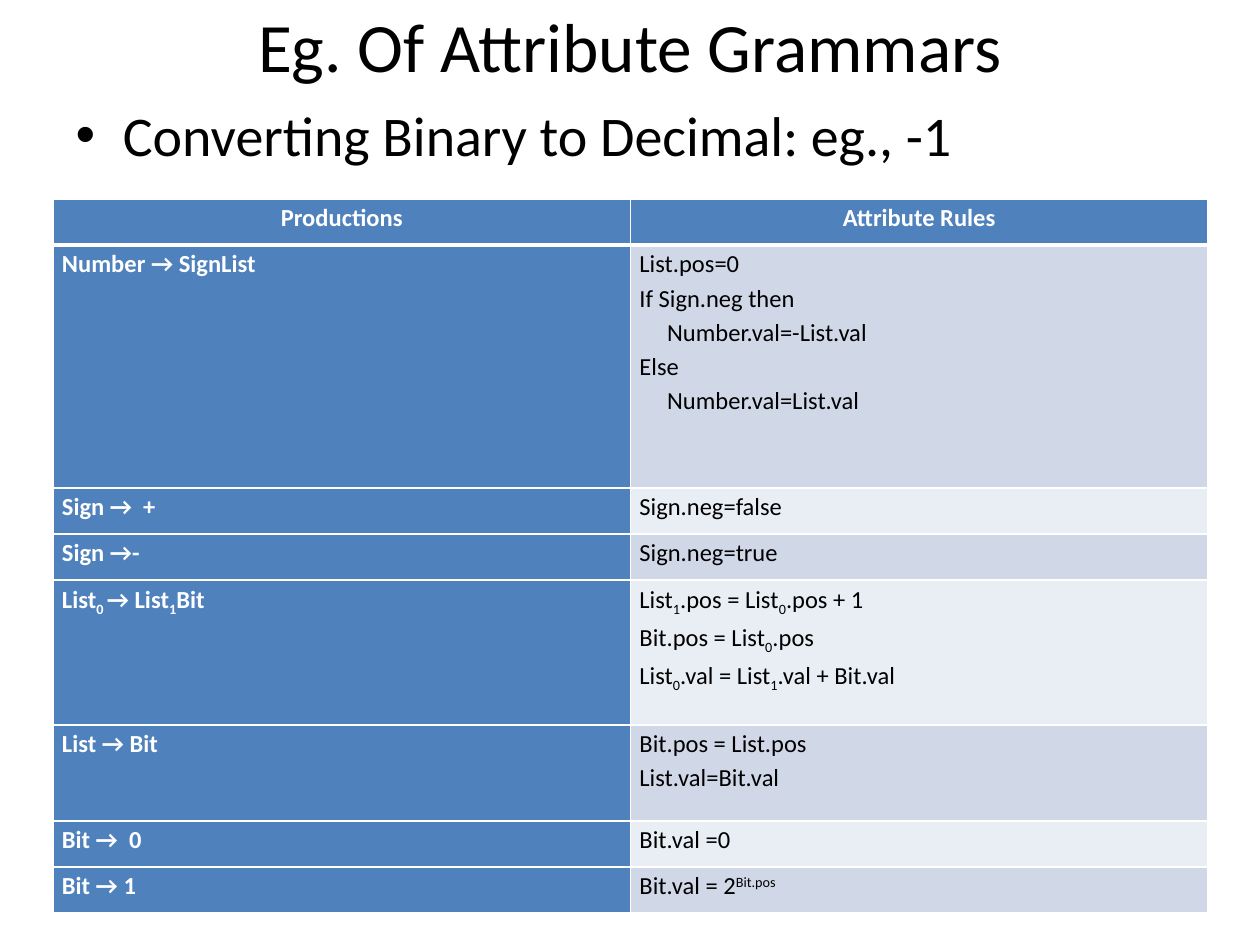
from lxml import etree
from pptx import Presentation
from pptx.dml.color import RGBColor
from pptx.enum.text import MSO_ANCHOR, PP_ALIGN
from pptx.oxml.ns import qn
from pptx.util import Pt

PX = 914400 // 126
CENTER, LEFT = PP_ALIGN.CENTER, PP_ALIGN.LEFT
MIDDLE, TOP = MSO_ANCHOR.MIDDLE, MSO_ANCHOR.TOP
FONT = "Calibri"
WHITE, BLACK, BLUE = "FFFFFF", "000000", "4F81BD"
BANDS = ["E9EDF4", "D0D8E8"]

# ~ encloses a subscript, ^ encloses a superscript
BASELINES = {"~": "-25000", "^": "30000"}
ROWS = [
    (46, "Productions", ["Attribute Rules"]),
    (243, "Number → SignList", [
        "List.pos=0",
        "If Sign.neg then",
        "     Number.val=-List.val",
        "Else",
        "     Number.val=List.val",
    ]),
    (46, "Sign →  +", ["Sign.neg=false"]),
    (46, "Sign →-", ["Sign.neg=true"]),
    (145, "List~0 ~→ List~1~Bit", [
        "List~1~.pos = List~0~.pos + 1",
        "Bit.pos = List~0~.pos",
        "List~0~.val = List~1~.val + Bit.val",
    ]),
    (96, "List → Bit", ["Bit.pos = List.pos", "List.val=Bit.val"]),
    (46, "Bit →  0", ["Bit.val =0"]),
    (46, "Bit → 1", ["Bit.val = 2^Bit.pos^"]),
]


def color(value):
    return RGBColor.from_string(value)


def write(paragraph, text, size, text_color, bold=False):
    """Write a line, with every second piece between marks raised or lowered."""
    mark = "^" if "^" in text else "~"
    for index, piece in enumerate(text.split(mark)):
        if not piece:
            continue
        run = paragraph.add_run()
        run.text = piece
        for name, value in {"name": FONT, "size": Pt(size), "bold": bold}.items():
            setattr(run.font, name, value)
        run.font.color.rgb = color(text_color)
        if index % 2:
            run.font._element.set("baseline", BASELINES[mark])


presentation = Presentation()
presentation.slide_width, presentation.slide_height = 1260 * PX, 945 * PX
slide = presentation.slides.add_slide(presentation.slide_layouts[1])

# Title and bullet
title, body = slide.placeholders
for shape, text, size, anchor, box in [
    (title, "Eg. Of Attribute Grammars", 39.6, MIDDLE, (63, -4, 1134, 98)),
    (body, "Converting Binary to Decimal: eg., -1", 32, TOP, (63, 94, 1134, 750)),
]:
    for name, value in zip(("left", "top", "width", "height"), box):
        setattr(shape, name, value * PX)
    shape.text_frame.vertical_anchor = anchor
    paragraph = shape.text_frame.paragraphs[0]
    paragraph.space_before = Pt(0)
    write(paragraph, text, size, BLACK)

# Table of productions and their rules
table_height = sum(height for height, _, _ in ROWS)
table = slide.shapes.add_table(
    len(ROWS), 2, 53 * PX, 199 * PX, 1155 * PX, table_height * PX).table

for row, (height, production, rules) in enumerate(ROWS):
    table.rows[row].height = height * PX
    for column, lines in enumerate([[production], rules]):
        cell = table.cell(row, column)
        label = row == 0 or column == 0
        margins = {"margin_left": 9, "margin_right": 9, "margin_top": 0, "margin_bottom": 0}
        for name, value in margins.items():
            setattr(cell, name, value * PX)
        cell.fill.solid()
        cell.fill.fore_color.rgb = color(BLUE if label else BANDS[row % 2])

        # Borders, thicker under the header
        thick_side = {0: "lnB", 1: "lnT"}.get(row)
        properties = cell._tc.get_or_add_tcPr()
        for position, side in enumerate(("lnL", "lnR", "lnT", "lnB")):
            line = etree.Element(qn("a:" + side), w=str(Pt(3 if side == thick_side else 1)))
            fill = etree.SubElement(line, qn("a:solidFill"))
            etree.SubElement(fill, qn("a:srgbClr"), val=WHITE)
            properties.insert(position, line)

        # Text
        frame = cell.text_frame
        for index, text in enumerate(lines):
            paragraph = frame.add_paragraph() if index else frame.paragraphs[0]
            paragraph.alignment = CENTER if row == 0 else LEFT
            paragraph.line_spacing = 1.15
            write(paragraph, text, 14, WHITE if label else BLACK, label)

presentation.save("out.pptx")
